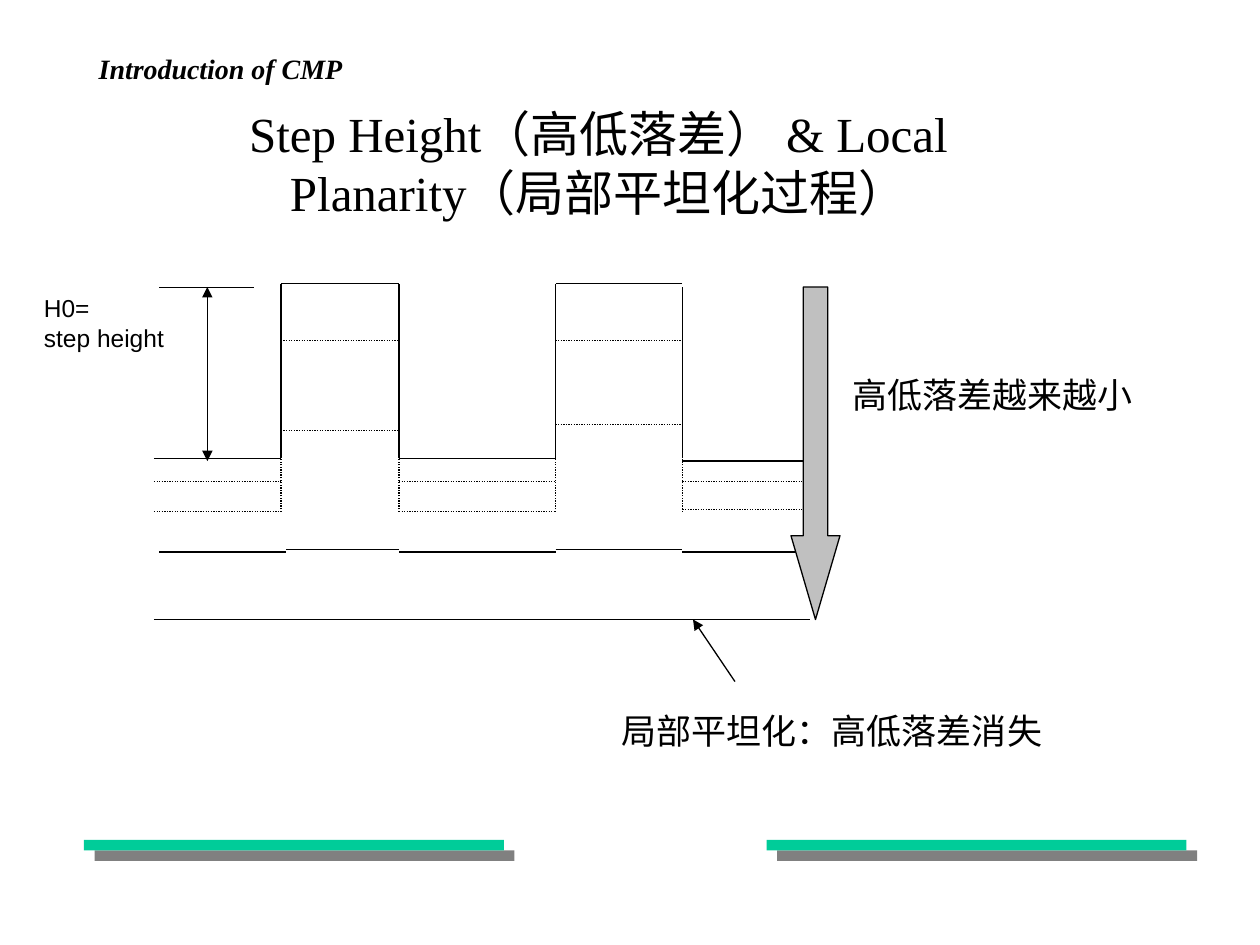
"""Build the slide on step height and local planarity in CMP."""
import pptx
import pptx.dml.color
import pptx.enum.dml
import pptx.enum.shapes
import pptx.enum.text
import pptx.oxml.ns
import pptx.util
from lxml import etree

Pt = pptx.util.Pt
SHAPE = pptx.enum.shapes.MSO_SHAPE
ALIGN = pptx.enum.text.PP_ALIGN
ANCHOR = pptx.enum.text.MSO_ANCHOR
BLACK = "000000"

LEFT, FIRST_START, FIRST_END, SECOND_START, SECOND_END, RIGHT = 88, 160.5, 228, 317.5, 390, 463
TRENCHES = [(LEFT, FIRST_START), (FIRST_END, SECOND_START), (SECOND_END, RIGHT)]
STEPS = [(FIRST_START, FIRST_END), (SECOND_START, SECOND_END)]
TOP, STEP_TOP, FLOOR, DOTTED_FLOOR, FLAT = 162, 164, 262, 292.5, 354


def color(hex_text):
    """Return the colour for a hex string."""
    return pptx.dml.color.RGBColor.from_string(hex_text)


def child(parent, tag, **attributes):
    """Append a drawing element with attributes to a parent."""
    return etree.SubElement(parent, pptx.oxml.ns.qn(tag), attributes)


def add_text(slide, text, left, top, width, height, size=20, font="Times New Roman",
             bold=False, italic=False, align=ALIGN.LEFT, anchor=ANCHOR.TOP, wrap=True):
    """Add a text box with one paragraph for each line of text."""
    box = slide.shapes.add_textbox(Pt(left), Pt(top), Pt(width), Pt(height))
    frame = box.text_frame
    frame.word_wrap = wrap
    frame.vertical_anchor = anchor
    for index, line in enumerate(text.split("\n")):
        para = frame.paragraphs[0] if index == 0 else frame.add_paragraph()
        para.alignment = align
        span = para.add_run()
        span.text = line
        span.font.name = font
        span.font.size = Pt(size)
        span.font.bold = bold
        span.font.italic = italic
        span.font.color.rgb = color(BLACK)


def add_line(slide, x1, y1, x2, y2, weight=0.75, dotted=False, arrows=()):
    """Add a straight line, with triangles at the ends named in arrows."""
    line = slide.shapes.add_connector(
        pptx.enum.shapes.MSO_CONNECTOR.STRAIGHT, Pt(x1), Pt(y1), Pt(x2), Pt(y2))
    line.line.color.rgb = color(BLACK)
    line.line.width = Pt(weight)
    if dotted:
        line.line.dash_style = pptx.enum.dml.MSO_LINE.ROUND_DOT
    for end in arrows:
        child(line.line._get_or_add_ln(), end, type="triangle")
    child(line._element.spPr, "a:effectLst")


def add_levels(slide, spans, heights, dotted=False):
    """Add one horizontal line per span at the matching height."""
    for (start, end), height in zip(spans, heights):
        add_line(slide, start, height, end, height, dotted=dotted)


def add_filled(slide, kind, left, top, width, height, fill):
    """Add a filled shape without outline or shadow."""
    shape = slide.shapes.add_shape(kind, Pt(left), Pt(top), Pt(width), Pt(height))
    shape.fill.solid()
    shape.fill.fore_color.rgb = color(fill)
    shape.line.fill.background()
    shape.shadow.inherit = False
    return shape


def add_footer_bar(slide, left):
    """Add a green bar with a hard grey shadow."""
    bar = add_filled(slide, SHAPE.RECTANGLE, left, 480, 240, 6, "00CC99")
    effects = bar._element.spPr.find(pptx.oxml.ns.qn("a:effectLst"))
    shadow = child(effects, "a:outerShdw", dist=str(Pt(8.5)), dir="2700000",
                   algn="ctr", rotWithShape="0")
    child(shadow, "a:srgbClr", val="808080")


def add_profile(slide):
    """Draw the surface from its first steps down to the flat level."""
    add_line(slide, LEFT, FLAT, RIGHT, FLAT)
    add_levels(slide, TRENCHES, [FLOOR, FLOOR, 263.5])
    add_levels(slide, STEPS, [TOP, TOP])
    add_levels(slide, TRENCHES, [275] * 3, dotted=True)
    add_levels(slide, TRENCHES, [DOTTED_FLOOR, DOTTED_FLOOR, 291], dotted=True)
    add_levels(slide, STEPS, [194.5, 194.5], dotted=True)
    add_levels(slide, STEPS, [246, 242.5], dotted=True)
    add_levels(slide, [(91, 163.5), *TRENCHES[1:]], [315.5] * 3)
    add_levels(slide, [(163.5, FIRST_END), STEPS[1]], [314, 314])
    for x in (FIRST_START, FIRST_END, SECOND_START, SECOND_END):
        add_line(slide, x, FLOOR, x, STEP_TOP if x == SECOND_END else TOP)
        add_line(slide, x, DOTTED_FLOOR, x, FLOOR, dotted=True)


def add_markers(slide):
    """Draw the shrinking arrow, the height measure and the pointer."""
    arrow = add_filled(slide, SHAPE.DOWN_ARROW, 452, STEP_TOP, 28, 190, "C0C0C0")
    arrow.adjustments[0] = 0.5
    arrow.adjustments[1] = 1.71
    arrow.line.color.rgb = color(BLACK)
    arrow.line.width = Pt(0.75)
    add_line(slide, 91, STEP_TOP, 145, STEP_TOP, weight=0.25)
    add_line(slide, 118.5, STEP_TOP, 118.5, 263.5, arrows=("a:headEnd", "a:tailEnd"))
    add_line(slide, 420, 389.5, 396, FLAT, arrows=("a:tailEnd",))


def main():
    """Build and save the slide."""
    deck = pptx.Presentation()
    deck.slide_width, deck.slide_height = Pt(720), Pt(540)
    page = deck.slides.add_slide(deck.slide_layouts[6])
    for left in (48, 438):
        add_footer_bar(page, left)
    add_text(page, "Step Height（高低落差） & Local Planarity（局部平坦化过程）",
             84, 48, 516, 90, size=28, align=ALIGN.CENTER, anchor=ANCHOR.MIDDLE)
    add_text(page, "高低落差越来越小", 480, 210, 198, 32)
    add_profile(page)
    add_markers(page)
    add_text(page, "H0=\nstep height", 18, 164, 83, 41, size=14, font="Arial", wrap=False)
    add_text(page, "局部平坦化：高低落差消失", 348, 402, 276, 32)
    add_text(page, "Introduction of CMP", 48, 18, 156, 42, size=16, bold=True,
             italic=True, align=ALIGN.CENTER, anchor=ANCHOR.MIDDLE)
    deck.save("out.pptx")


if __name__ == "__main__":
    main()
